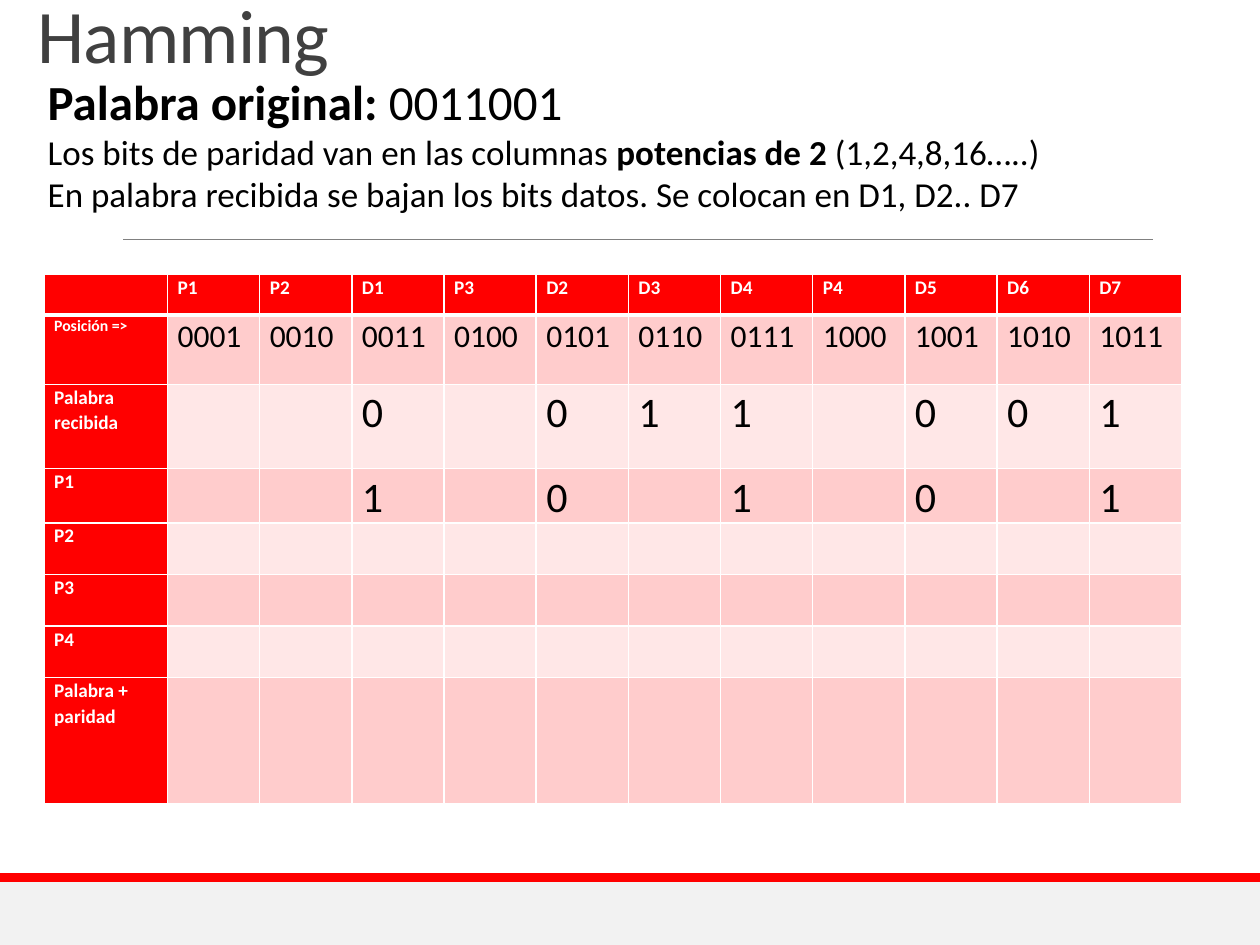
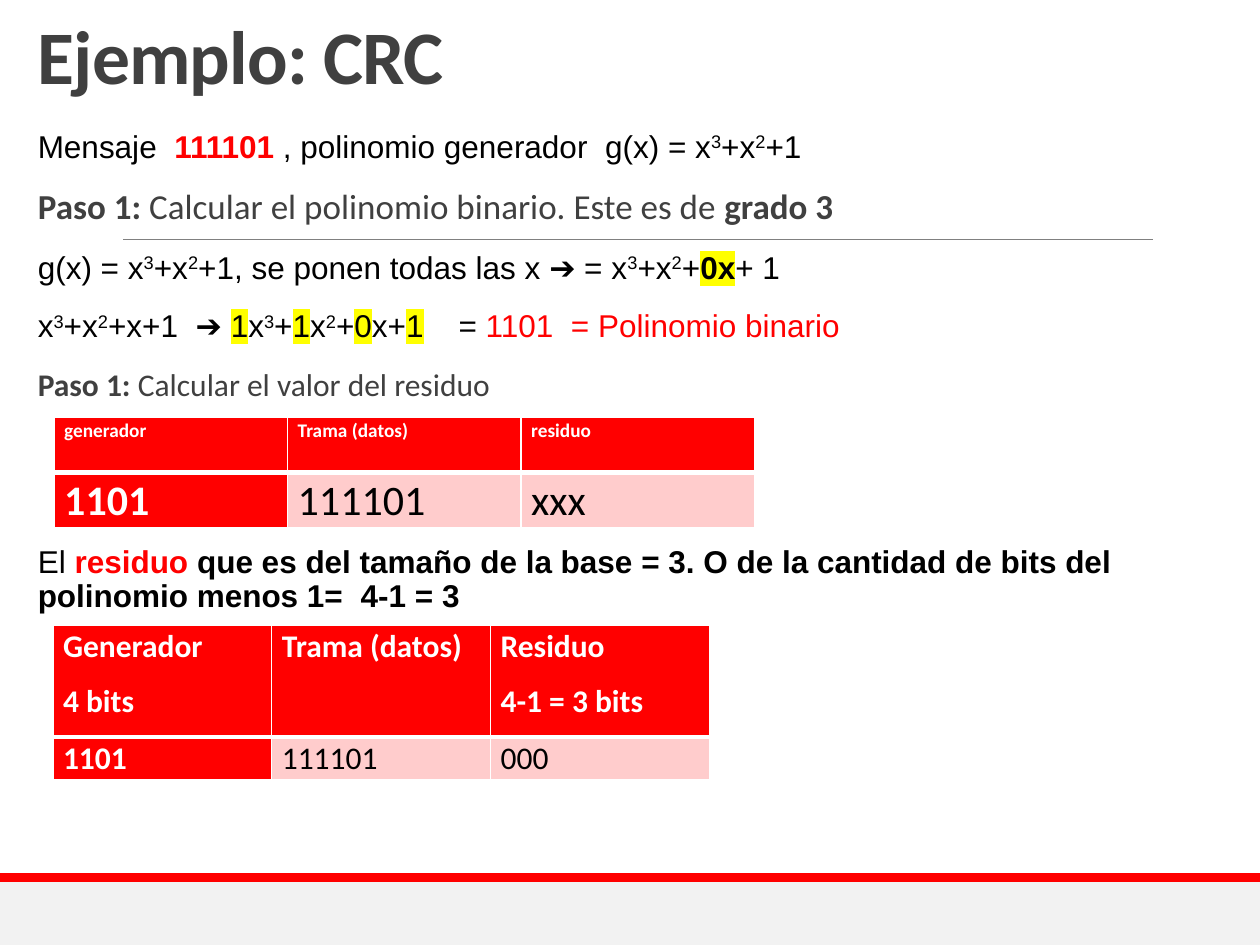
from dataclasses import dataclass

from lxml.etree import SubElement
from pptx import Presentation
from pptx.dml.color import RGBColor
from pptx.enum.shapes import MSO_CONNECTOR, MSO_SHAPE
from pptx.enum.text import MSO_ANCHOR, MSO_AUTO_SIZE, PP_ALIGN
from pptx.oxml.ns import qn
from pptx.util import Inches, Pt


@dataclass(frozen=True)
class Theme:
    """Colours, fonts and type sizes of the deck."""

    red: str = "FF0000"
    pink: str = "FFCCCC"
    pale_pink: str = "FFE7E7"
    white: str = "FFFFFF"
    black: str = "000000"
    gray: str = "404040"
    rule: str = "808080"
    band: str = "F2F2F2"
    marker: str = "FFFF00"
    sans: str = "Calibri"
    formula: str = "Arial"
    title: float = 43.2
    lead: int = 28
    step: int = 20
    body: int = 18
    digit: int = 24
    label: int = 11
    small_label: int = 9


THEME = Theme()
TRACKING = {"gap": "500", "wide": "1500"}
GAP = (" ", "gap")

PARITY_ROWS = [
    ["", "P1", "P2", "D1", "P3", "D2", "D3", "D4", "P4", "D5", "D6", "D7"],
    ["Posición =>"] + [f"{position:04b}" for position in range(1, 12)],
    ["Palabra recibida", "", "", "0", "", "0", "1", "1", "", "0", "0", "1"],
    ["P1", "", "", "1", "", "0", "", "1", "", "0", "", "1"],
    *([name] + [""] * 11 for name in ("P2", "P3", "P4", "Palabra + paridad")),
]


def rgb(code):
    """Return the colour for a hexadecimal code."""
    return RGBColor.from_string(code)


def style_font(font, size, color, name=THEME.sans, bold=False):
    """Set size, colour, typeface and weight of a font."""
    font.size = Pt(size)
    font.color.rgb = rgb(color)
    font.name = name
    font.bold = bold


def space(para, line=None, before=0, after=0):
    """Set the spacing of a paragraph."""
    para.line_spacing = line
    para.space_before = Pt(before)
    para.space_after = Pt(after)


def add_spans(para, spans, size, color=THEME.black, name=THEME.sans):
    """Add (text, marks) runs; marks are bold, red, up, marked, gap and wide."""
    for text, marks in spans:
        span = para.add_run()
        span.text = text
        marks = marks.split()
        properties = span.font._element
        if "up" in marks:
            properties.set("baseline", "30000")
        for mark in TRACKING.keys() & set(marks):
            properties.set("spc", TRACKING[mark])
        span.font.color.rgb = rgb(THEME.red if "red" in marks else color)
        if "marked" in marks:
            highlight = SubElement(properties, qn("a:highlight"))
            SubElement(highlight, qn("a:srgbClr"), val=THEME.marker)
        span.font.size = Pt(size)
        span.font.name = name
        span.font.bold = "bold" in marks


def place(shape, left, top, width, height):
    """Move and size a shape, in inches."""
    shape.left, shape.top = Inches(left), Inches(top)
    shape.width, shape.height = Inches(width), Inches(height)


def add_band(page, top, height, color):
    """Add a plain band across the page."""
    band = page.shapes.add_shape(
        MSO_SHAPE.RECTANGLE, 0, Inches(top), Inches(10), Inches(height))
    band.shadow.inherit = False
    band.fill.solid()
    band.fill.fore_color.rgb = rgb(color)
    band.line.fill.background()


def add_rule(page):
    """Add the thin line under the heading area."""
    rule = page.shapes.add_connector(
        MSO_CONNECTOR.STRAIGHT, Inches(0.98), Inches(1.9), Inches(9.15), Inches(1.9))
    rule.line.color.rgb = rgb(THEME.rule)
    rule.line.width = Pt(0.5)
    SubElement(rule._element.spPr, qn("a:effectLst"))


def add_page(deck, layout, title, top, height, bold=False):
    """Add a page with its bands, rule and title."""
    page = deck.slides.add_slide(deck.slide_layouts.get_by_name(layout))
    add_band(page, 7, 0.5, THEME.band)
    add_band(page, 6.93, 0.07, THEME.red)
    add_rule(page)
    heading = page.shapes.title
    place(heading, 0.2, top, 8.95, height)
    frame = heading.text_frame
    frame.text = title
    frame.auto_size = MSO_AUTO_SIZE.NONE
    frame.vertical_anchor = MSO_ANCHOR.BOTTOM
    para = frame.paragraphs[0]
    para.alignment = PP_ALIGN.LEFT
    space(para, 0.85)
    font = para.runs[0].font
    style_font(font, THEME.title, THEME.gray, bold=bold)
    font._element.set("spc", "-50")
    return page


def add_borders(cell, bottom):
    """Draw white cell borders with the given bottom width."""
    properties = cell._tc.get_or_add_tcPr()
    for side, width in (("L", 1), ("R", 1), ("T", 1), ("B", bottom)):
        line = SubElement(properties, qn(f"a:ln{side}"), w=str(Pt(width)))
        fill = SubElement(line, qn("a:solidFill"))
        SubElement(fill, qn("a:srgbClr"), val=THEME.white)


def fill_cell(cell, text, size, fill, heading, bottom, after):
    """Write and format one table cell."""
    add_borders(cell, bottom)
    cell.fill.solid()
    cell.fill.fore_color.rgb = rgb(fill)
    cell.margin_left = cell.margin_right = Inches(0.08)
    cell.margin_top = cell.margin_bottom = 0
    cell.text_frame.text = text
    for para in cell.text_frame.paragraphs:
        space(para, 1.07, after=after)
        for span in para.runs:
            style_font(span.font, size, THEME.white if heading else THEME.black, bold=heading)


def add_grid(page, left, top, widths, heights, rows, sizes, after=0):
    """Add a table; sizes holds a (label, value) pair for each row."""
    table = page.shapes.add_table(
        len(rows), len(widths), Inches(left), Inches(top),
        Inches(sum(widths)), Inches(sum(heights))).table
    for column, width in zip(table.columns, widths):
        column.width = Inches(width)
    for index, (texts, height) in enumerate(zip(rows, heights)):
        table.rows[index].height = Inches(height)
        stripe = THEME.pink if index % 2 else THEME.pale_pink
        for position, text in enumerate(texts):
            heading = index == 0 or position == 0
            fill_cell(table.cell(index, position), text, sizes[index][position > 0],
                      THEME.red if heading else stripe, heading,
                      3 if index == 0 else 1, after)


def add_intro(page):
    """Add the word to encode and the rules for placing its bits."""
    box = page.shapes.add_textbox(Inches(0.28), Inches(0.52), Inches(9.29), Inches(1.26))
    frame = box.text_frame
    frame.word_wrap = True
    lines = [
        (THEME.lead, [("Palabra original: ", "bold"), ("0011001", "")]),
        (THEME.step, [("Los bits de paridad van en las columnas ", ""),
                      ("potencias de 2", "bold"), (" (1,2,4,8,16…..)", "")]),
        (THEME.step, [("En palabra recibida se bajan los bits datos. "
                       "Se colocan en D1, D2.. D7", "")]),
    ]
    for index, (size, spans) in enumerate(lines):
        para = frame.add_paragraph() if index else frame.paragraphs[0]
        add_spans(para, spans, size)


def powers(before, after):
    """Return runs for x³+x² between two texts."""
    return [(before + "x", ""), ("3", "up"), ("+x", ""), ("2", "up"), (after, "")]


def crc_lines():
    """Return (runs, size, colour, typeface, space before) for each line."""
    formula = (THEME.body, THEME.black, THEME.formula)
    return [
        ([("Mensaje", ""), GAP, ("111101", "bold red"),
          (" , polinomio generador", ""), GAP, *powers("g(x) = ", "+1")], *formula, 0),
        ([("Paso 1:", "bold"), (" Calcular el polinomio binario. Este es de ", ""),
          ("grado 3", "bold")], THEME.step, THEME.gray, THEME.sans, 12),
        ([*powers("g(x) = ", "+1, se ponen todas las x ➔ = "), *powers("", "+"),
          ("0x", "bold marked"), ("+ 1", "")], *formula, 12),
        ([*powers("", "+x+1"), GAP, ("➔ ", ""), ("1", "marked"), ("x", ""),
          ("3", "up"), ("+", ""), ("1", "marked"), ("x", ""), ("2", "up"), ("+", ""),
          ("0", "marked"), ("x+", ""), ("1", "marked"), (" ", "wide"), ("= ", ""),
          ("1101", "red"), GAP, ("= Polinomio binario", "red")], *formula, 12),
        ([("Paso 1:", "bold"), (" Calcular el valor del residuo", "")],
         THEME.body, THEME.gray, THEME.sans, 12),
        ([("El ", ""), ("residuo", "bold red"),
          (" que es del tamaño de la base = 3. O de la cantidad de bits del "
           "polinomio menos 1=", "bold"), GAP, ("4-1 = 3", "bold")], *formula, 80),
    ]


def fill_body(body):
    """Write the CRC steps in the body placeholder."""
    place(body, 0.2, 0.99, 8.95, 5.42)
    frame = body.text_frame
    frame.auto_size = MSO_AUTO_SIZE.NONE
    frame.margin_left, frame.margin_right = Inches(0.1), 0
    for index, (spans, size, color, name, before) in enumerate(crc_lines()):
        para = frame.add_paragraph() if index else frame.paragraphs[0]
        space(para, 0.9, before, 2)
        properties = para._p.get_or_add_pPr()
        properties.set("marL", "0")
        properties.set("indent", "0")
        SubElement(properties, qn("a:buNone"))
        add_spans(para, spans, size, color, name)


def build_hamming(deck):
    """Build the page with the Hamming parity table."""
    page = add_page(deck, "Title Only", "Hamming", 0.31, 0.37)
    add_intro(page)
    sizes = [(THEME.label, THEME.label), (THEME.small_label, THEME.body)]
    sizes += [(THEME.label, THEME.digit)] * 6
    add_grid(page, 0.35, 2.18, [0.98] + [(9.03 - 0.98) / 11] * 11,
             [0.32, 0.55, 0.67, 0.43, 0.41, 0.41, 0.41, 1], PARITY_ROWS, sizes)


def build_crc(deck):
    """Build the page with the CRC example."""
    page = add_page(deck, "Title and Content", "Ejemplo: CRC", 0.21, 0.63, bold=True)
    fill_body(page.placeholders[1])
    add_grid(page, 0.43, 3.31, [5.56 / 3] * 3, [0.44, 0.44],
             [["generador", "Trama (datos)", "residuo"], ["1101", "111101", "xxx"]],
             [(THEME.label, THEME.label), (THEME.digit, THEME.digit)], 8)
    add_grid(page, 0.42, 4.96, [5.21 / 3] * 3, [0.89, 0.34],
             [["Generador\n4 bits", "Trama (datos)", "Residuo\n4-1 = 3 bits"],
              ["1101", "111101", "000"]],
             [(THEME.body, THEME.body)] * 2, 8)


def main():
    """Build and save the deck."""
    deck = Presentation()
    deck.slide_width, deck.slide_height = Inches(10), Inches(7.5)
    build_hamming(deck)
    build_crc(deck)
    deck.save("out.pptx")


if __name__ == "__main__":
    main()
